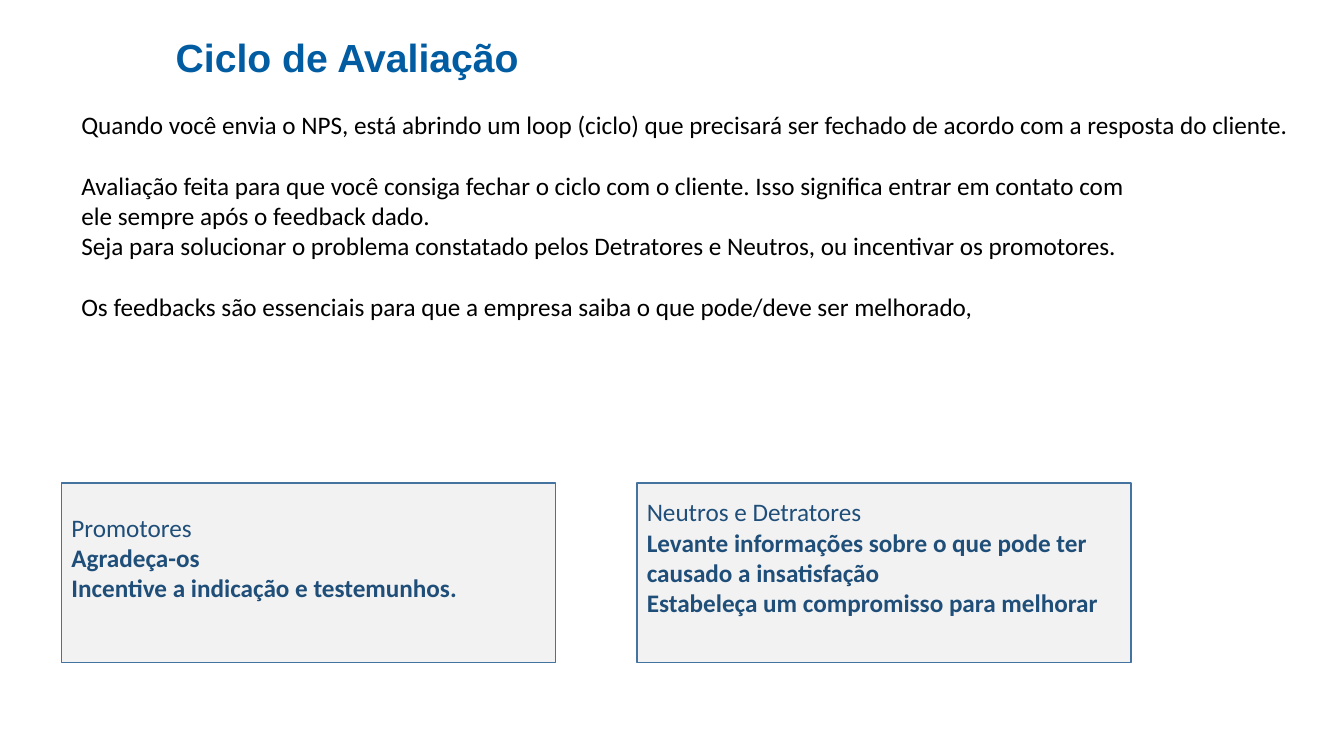
from pptx import Presentation
from pptx.dml.color import RGBColor
from pptx.enum.shapes import MSO_SHAPE
from pptx.enum.text import MSO_ANCHOR, MSO_AUTO_SIZE, PP_ALIGN
from pptx.util import Cm, Pt

HUES = {"title": "015CA2", "body": "000000", "card": "F2F2F2",
        "edge": "43739E", "note": "1F4E79"}
GAP = Pt(21.6)  # one line of 18 pt text

BODY = [
    ("Quando você envia o NPS, está abrindo um loop (ciclo) que precisará "
     "ser fechado de acordo com a resposta do cliente.", {}),
    ("Avaliação feita para que você consiga fechar o ciclo com o cliente. "
     "Isso significa entrar em contato com", {"space_before": GAP}),
    ("ele sempre após o feedback dado.", {}),
    ("Seja para solucionar o problema constatado pelos Detratores e Neutros, "
     "ou incentivar os promotores.", {}),
    ("Os feedbacks são essenciais para que a empresa saiba o que pode/deve "
     "ser melhorado,\u00a0", {"space_before": GAP}),
]
CARDS = [
    ["Promotores", "Agradeça-os", "Incentive a indicação e testemunhos."],
    ["Neutros e Detratores",
     "Levante informações sobre o que pode ter causado a insatisfação",
     "Estabeleça um compromisso para melhorar"],
]


def hue(name):
    """Return the named colour."""
    return RGBColor.from_string(HUES[name])


def apply(item, form):
    """Set each attribute in form on item."""
    for key, value in form.items():
        setattr(item, key, value)


def write(para, text, color, font, form):
    """Put one styled run of text in a paragraph."""
    run = para.add_run()
    run.text = text
    apply(run.font, {"name": "Calibri", "size": Pt(18), "bold": False} | font)
    run.font.color.rgb = hue(color)
    apply(para, {"alignment": PP_ALIGN.LEFT} | form)


def fill(frame, lines, color):
    """Write one paragraph per (text, font, form) line."""
    for i, (text, font, form) in enumerate(lines):
        para = frame.add_paragraph() if i else frame.paragraphs[0]
        write(para, text, color, font, form)


def place(shape, box):
    """Move a shape to box, given as left, top, width, height in cm."""
    apply(shape, dict(zip(("left", "top", "width", "height"), map(Cm, box))))


def head(slide, box):
    """Set the slide title."""
    title = slide.shapes.title
    place(title, box)
    frame = title.text_frame
    apply(frame, {"auto_size": MSO_AUTO_SIZE.NONE, "word_wrap": True,
                  "vertical_anchor": MSO_ANCHOR.MIDDLE})
    font = {"name": "Arial", "size": Pt(28), "bold": True}
    form = {"alignment": PP_ALIGN.CENTER, "line_spacing": 0.9}
    fill(frame, [("Ciclo de Avaliação", font, form)], "title")


def story(slide, box):
    """Add the body text."""
    frame = slide.shapes.add_textbox(*map(Cm, box)).text_frame
    frame.word_wrap = True
    fill(frame, [(text, {}, form) for text, form in BODY], "body")


def card(slide, box, texts):
    """Add a framed card: a plain heading over bold advice."""
    shape = slide.shapes.add_shape(MSO_SHAPE.RECTANGLE, *map(Cm, box))
    shape.shadow.inherit = False
    shape.fill.solid()
    shape.fill.fore_color.rgb = hue("card")
    shape.line.color.rgb = hue("edge")
    shape.line.width = Pt(1)
    frame = shape.text_frame
    apply(frame, {"word_wrap": True, "vertical_anchor": MSO_ANCHOR.MIDDLE,
                  "margin_bottom": Cm(0.9)})
    fill(frame, [(text, {"bold": i > 0}, {}) for i, text in enumerate(texts)],
         "note")


def cards(slide, box, gap):
    """Spread the cards evenly across box."""
    left, top, width, height = box
    wide = (width - gap * (len(CARDS) - 1)) / len(CARDS)
    for i, texts in enumerate(CARDS):
        card(slide, (left + i * (wide + gap), top, wide, height), texts)


def main():
    """Build and save the slide."""
    deck = Presentation()
    apply(deck, {"slide_width": Cm(33.87), "slide_height": Cm(19.05)})
    slide = deck.slides.add_slide(deck.slide_layouts[5])
    head(slide, (0.56, 0, 16.38, 3))
    story(slide, (1.8, 2.64, 31.32, 8.71))
    cards(slide, (1.55, 12.25 - 0.08, 26.95, 4.52), 2.05)
    deck.save("out.pptx")


main()
